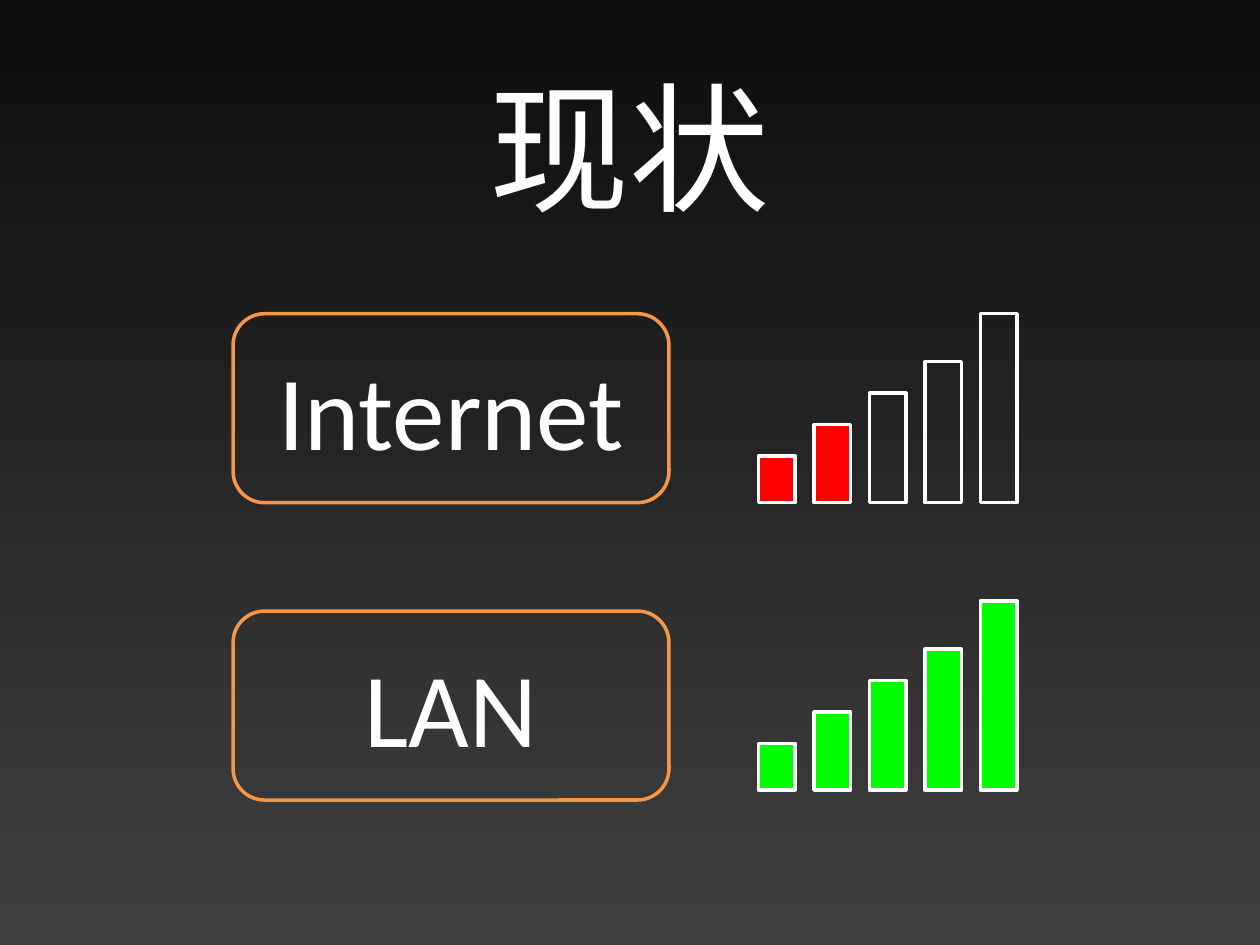
from dataclasses import dataclass

from lxml import etree
from pptx import Presentation
from pptx import util as u
from pptx.dml.color import RGBColor
from pptx.enum import shapes, text
from pptx.oxml import ns


@dataclass(frozen=True)
class Theme:
    top: str = "0D0D0D"
    base: str = "404040"
    ink: str = "FFFFFF"
    edge: str = "F79646"
    weak: str = "FF0000"
    good: str = "00FF00"
    latin: str = "Calibri"
    asian: str = "Noto Sans CJK SC"
    title: int = 80
    label: int = 60
    line: int = 2


class Deck:
    cols, rows = 10, 7.5

    def __init__(self, theme):
        self.theme = theme
        self.show = Presentation()
        self.show.slide_width = u.Inches(10)
        self.show.slide_height = u.Inches(7.5)
        self.slide = self.show.slides.add_slide(self.show.slide_layouts[6])

    def place(self, left, top, width, height):
        col = self.show.slide_width / self.cols
        row = self.show.slide_height / self.rows
        return [round(n) for n in (left * col, top * row, width * col, height * row)]

    def backdrop(self):
        fill = self.slide.background.fill
        fill.gradient()
        fill.gradient_angle = 270
        for stop, tone in zip(fill.gradient_stops, (self.theme.top, self.theme.base)):
            stop.color.rgb = RGBColor.from_string(tone)

    def letter(self, shape, words, size, face):
        frame = shape.text_frame
        frame.word_wrap = True
        frame.vertical_anchor = text.MSO_ANCHOR.MIDDLE
        para = frame.paragraphs[0]
        para.text = words
        para.alignment = text.PP_ALIGN.CENTER
        font = para.font
        font.size = u.Pt(size)
        font.color.rgb = RGBColor.from_string(self.theme.ink)
        font.name = face
        props = para._p.pPr.find(ns.qn("a:defRPr"))
        etree.SubElement(props, ns.qn("a:ea")).set("typeface", self.theme.asian)

    def title(self, words, *area):
        box = self.slide.shapes.add_textbox(*self.place(*area))
        self.letter(box, words, self.theme.title, self.theme.asian)

    def block(self, group, kind, area, edge, fill=None):
        shape = group.shapes.add_shape(kind, *self.place(*area))
        shape.shadow.inherit = False
        shape.line.color.rgb = RGBColor.from_string(edge)
        shape.line.width = u.Pt(self.theme.line)
        if fill:
            shape.fill.solid()
            shape.fill.fore_color.rgb = RGBColor.from_string(fill)
        else:
            shape.fill.background()
        return shape

    def label(self, group, words, *area):
        kind = shapes.MSO_SHAPE.ROUNDED_RECTANGLE
        box = self.block(group, kind, area, self.theme.edge)
        self.letter(box, words, self.theme.label, self.theme.latin)

    def signal(self, group, left, base, count, tone):
        for i, tall in enumerate((0.37, 0.62, 0.87, 1.12, 1.5)):
            area = (left + 0.44 * i, base - tall, 0.29, tall)
            fill = tone if i < count else None
            self.block(group, shapes.MSO_SHAPE.RECTANGLE, area, self.theme.ink, fill)

    def status(self, words, top, base, count, tone):
        group = self.slide.shapes.add_group_shape()
        self.label(group, words, 1.85, top, 3.46, 1.5)
        self.signal(group, 6.02, base, count, tone)

    def save(self):
        self.show.save("out.pptx")


def main():
    theme = Theme()
    deck = Deck(theme)
    deck.backdrop()
    deck.title("现状", 0.5, 0.53, 9, 1.25)
    deck.status("Internet", 2.49, 3.99, 2, theme.weak)
    deck.status("LAN", 4.85, 6.27, 5, theme.good)
    deck.save()


if __name__ == "__main__":
    main()
